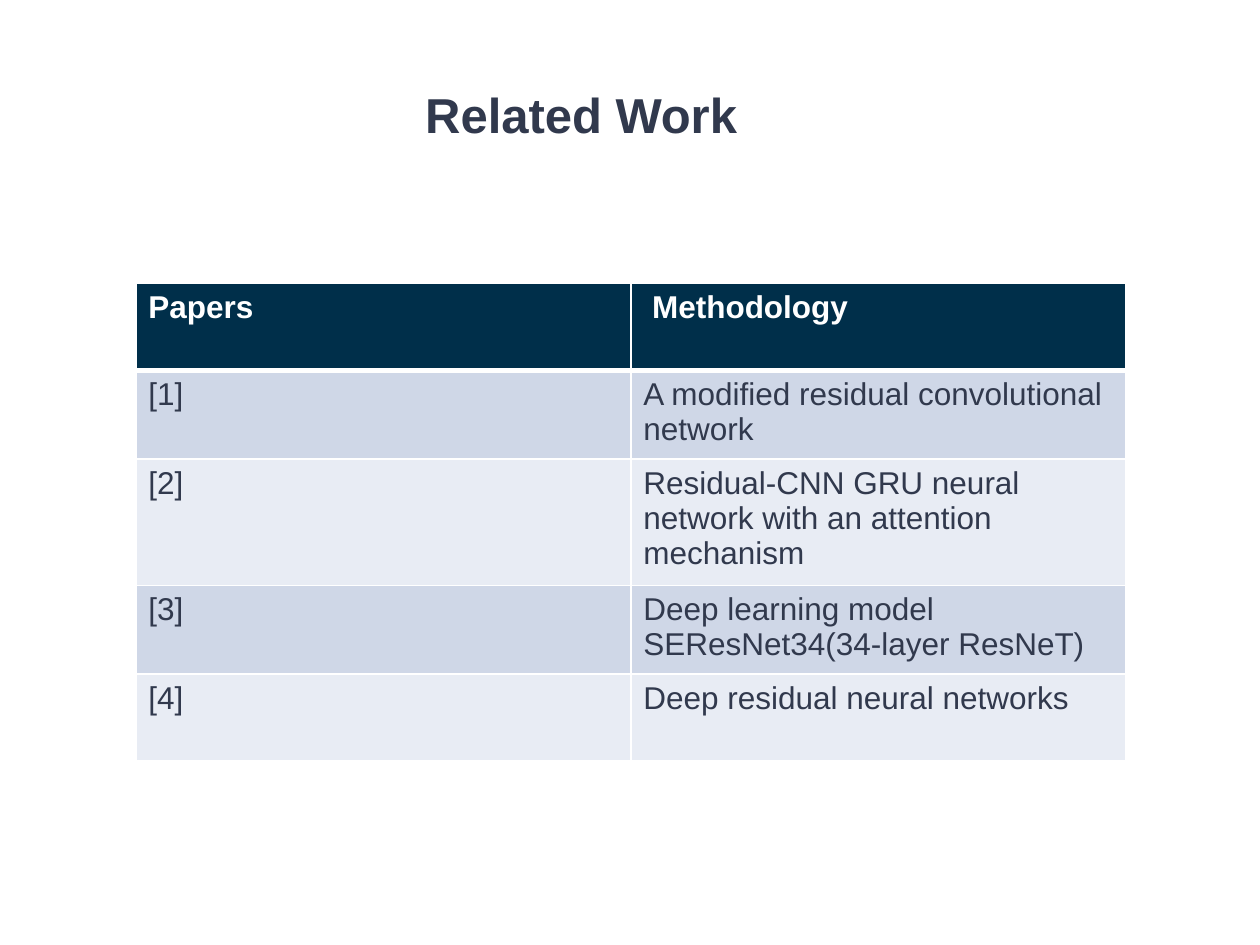
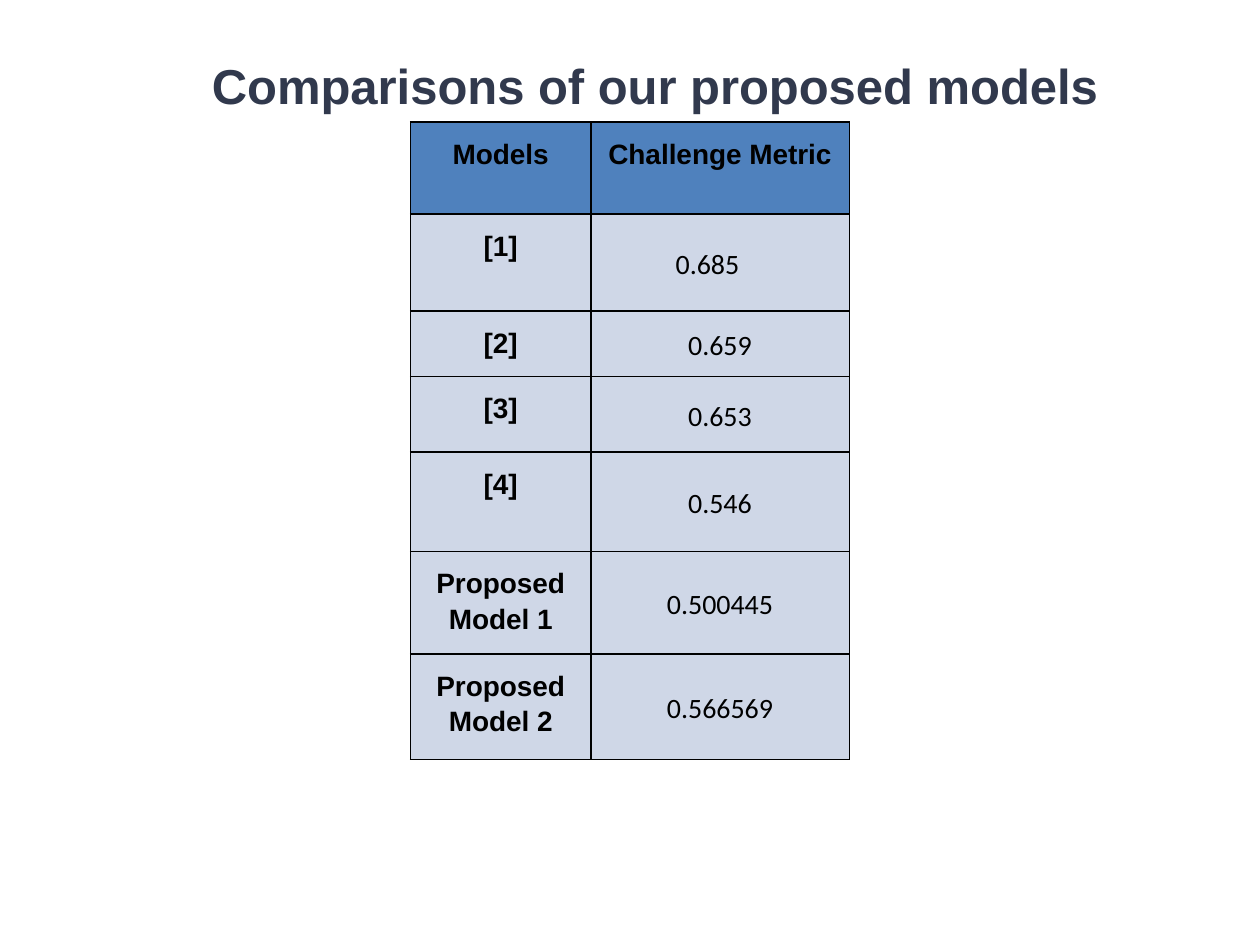
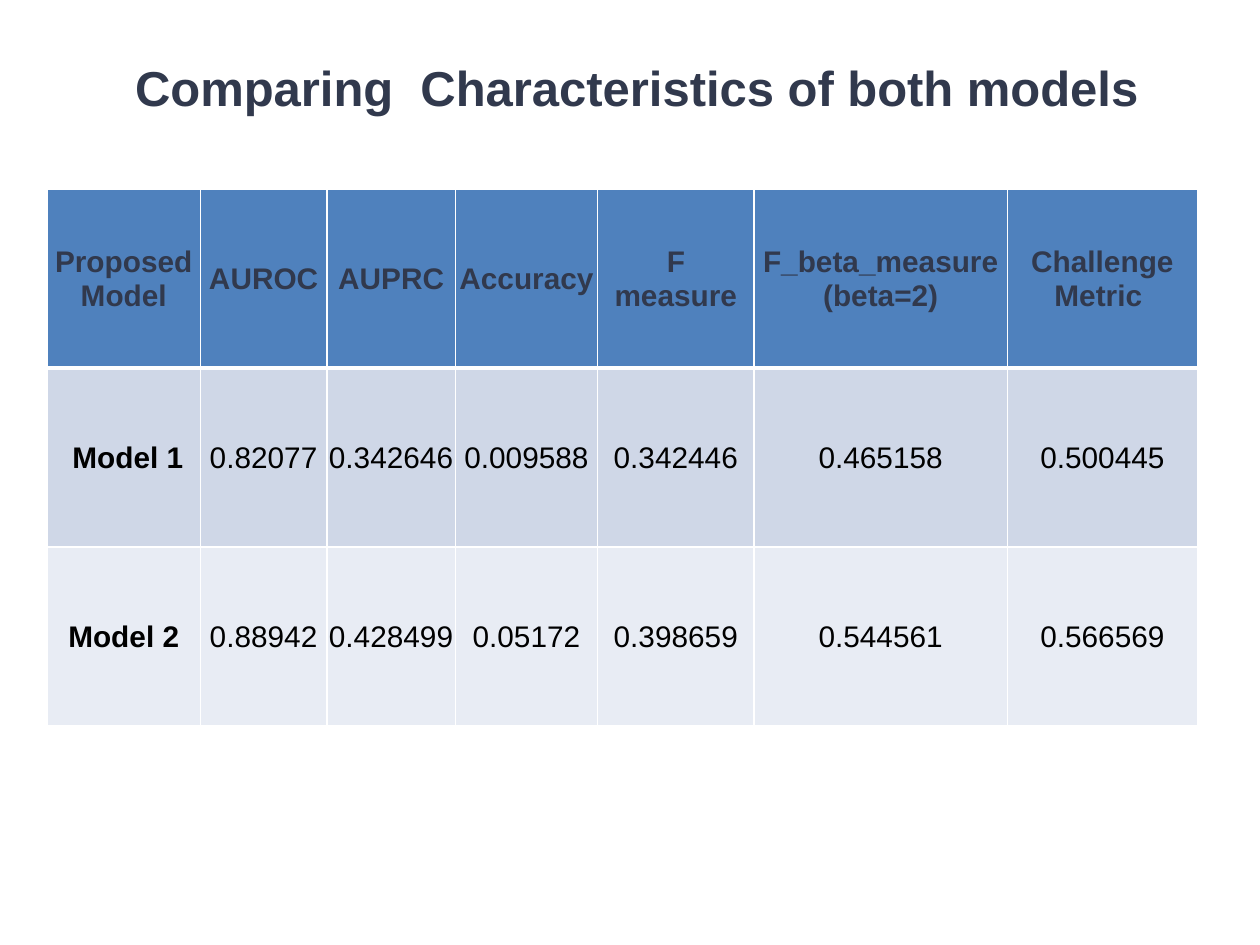
from lxml import etree
from pptx import Presentation
from pptx.dml.color import RGBColor
from pptx.enum import text as tx
from pptx.oxml import ns
from pptx.util import Cm, Pt

HUES = {
    "slate": "31394D",
    "navy": "002F4A",
    "blue": "4F81BD",
    "mist": "CFD7E7",
    "pale": "E8ECF4",
    "black": "000000",
    "white": "FFFFFF",
}
LEFT, MID = tx.PP_ALIGN.LEFT, tx.PP_ALIGN.CENTER
AIRY = dict(line=1.15, before=12, after=12)


def hue(name):
    return RGBColor.from_string(HUES[name])


def write(frame, words, size=18, font="Arial", color="slate", bold=False,
          align=LEFT, line=None, before=0, after=0, indent=0):
    """Fill a text frame with one paragraph; a newline is a line break."""
    para = frame.paragraphs[0]
    para.alignment = align
    para.space_before, para.space_after = Pt(before), Pt(after)
    if line:
        para.line_spacing = line
    if indent:
        para._p.get_or_add_pPr().set("marL", str(Cm(indent)))
    for i, part in enumerate(words.split("\n")):
        if i:
            para.add_line_break()
        run = para.add_run()
        run.text = part
        run.font.size, run.font.name, run.font.bold = Pt(size), font, bold
        run.font.color.rgb = hue(color)


def title(slide, box, words, inset=0, **form):
    shape = slide.shapes.add_textbox(*map(Cm, box))
    frame = shape.text_frame
    frame.word_wrap = True
    frame.margin_left = frame.margin_right = Cm(inset)
    frame.margin_top = frame.margin_bottom = Cm(inset)
    write(frame, words, size=28, bold=True, align=MID, **form)


def edge(cell, color, **widths):
    """Draw the borders L, R, T and B, 1 point wide unless told otherwise."""
    props = cell._tc.get_or_add_tcPr()
    for side in "LRTB":
        ln = etree.SubElement(props, ns.qn("a:ln" + side),
                              w=str(Pt(widths.get(side, 1))))
        fill = etree.SubElement(ln, ns.qn("a:solidFill"))
        etree.SubElement(fill, ns.qn("a:srgbClr"), val=HUES[color])


def grid(slide, spot, cols, rows, data, look, fills, pads,
         rule="white", head=1):
    """Add a table; look(row, col) gives the anchor and text format."""
    left, top = spot
    table = slide.shapes.add_table(
        len(rows), len(cols), Cm(left), Cm(top),
        Cm(sum(cols)), Cm(sum(rows))).table
    table.first_row = table.horz_banding = False
    for col, width in zip(table.columns, cols):
        col.width = Cm(width)
    for row, high in zip(table.rows, rows):
        row.height = Cm(high)
    for r, line in enumerate(data):
        for c, words in enumerate(line):
            cell = table.cell(r, c)
            edge(cell, rule, T=head if r == 1 else 1, B=head if r == 0 else 1)
            cell.fill.solid()
            cell.fill.fore_color.rgb = hue(fills[r])
            cell.margin_left = cell.margin_right = Cm(pads[0])
            cell.margin_top, cell.margin_bottom = Cm(pads[1]), Cm(pads[2])
            cell.vertical_anchor, form = look(r, c)
            write(cell.text_frame, words, **form)


TOP, CENTER = tx.MSO_ANCHOR.TOP, tx.MSO_ANCHOR.MIDDLE


def works(slide):
    def look(r, c):
        return TOP, dict(color="slate" if r else "white", bold=r == 0)

    title(slide, (3.18, 1.7, 17.07, 1.19), "Related Work")
    data = [
        ("Papers", " Methodology"),
        ("[1]", "A modified residual convolutional network"),
        ("[2]", "Residual-CNN GRU neural network with an attention mechanism"),
        ("[3]", "Deep learning model SEResNet34(34-layer ResNeT)"),
        ("[4]", "Deep residual neural networks"),
    ]
    grid(slide, (2.74, 5.72), [9.98] * 2, [1.75, 1.78, 1.78, 1.75, 1.75],
         data, look, ["navy"] + ["mist", "pale"] * 2, (0.25, 0.13, 0.13),
         head=3)


def ranks(slide):
    def look(r, c):
        form = dict(size=16, color="black", align=MID, line=1.15)
        if r == 0 or c == 0:
            return TOP, form | AIRY | dict(bold=True)
        form["font"] = "Calibri"
        if r == 1:
            form |= AIRY | dict(align=LEFT, indent=1.53)
        return CENTER, form

    title(slide, (3.73, 0.94, 18.95, 3), "Comparisons of our proposed models",
          line=1.15, before=12)
    data = [
        ("Models", "Challenge Metric"),
        ("[1]", "0.685"),
        ("[2]", "0.659"),
        ("[3]", "0.653"),
        ("[4]", "0.546"),
        ("Proposed Model 1", "0.500445"),
        ("Proposed Model 2", "0.566569"),
    ]
    grid(slide, (8.28, 2.46), [3.63, 5.21],
         [1.85, 1.96, 1.32, 1.52, 2.01, 2.06, 2.13],
         data, look, ["blue"] + ["mist"] * 6, (0.18, 0.25, 0.25),
         rule="black")


def traits(slide):
    def look(r, c):
        return CENTER, dict(size=17, color="black" if r else "slate",
                            bold=r == 0 or c == 0, align=MID)

    data = [
        ("Proposed Model", "AUROC", "AUPRC", "Accuracy", "F\nmeasure",
         "F_beta_measure (beta=2)", "Challenge\nMetric "),
        (" Model 1", "0.82077", "0.342646", "0.009588", "0.342446",
         "0.465158", "0.500445"),
        ("Model 2", "0.88942", "0.428499", "0.05172", "0.398659",
         "0.544561", "0.566569"),
    ]
    grid(slide, (0.95, 3.81), [3.09, 2.55, 2.59, 2.87, 3.15, 5.11, 3.83],
         [3.61] * 3, data, look, ["blue", "mist", "pale"],
         (0.03, 0.03, 0), head=3)
    title(slide, (1.78, 0.74, 21.84, 1.7),
          " Comparing  Characteristics of both models", inset=0.25, **AIRY)


def main():
    deck = Presentation()
    deck.slide_width, deck.slide_height = Cm(25.4), Cm(19.05)
    for draw in (works, ranks, traits):
        draw(deck.slides.add_slide(deck.slide_layouts[6]))
    deck.save("out.pptx")


if __name__ == "__main__":
    main()
